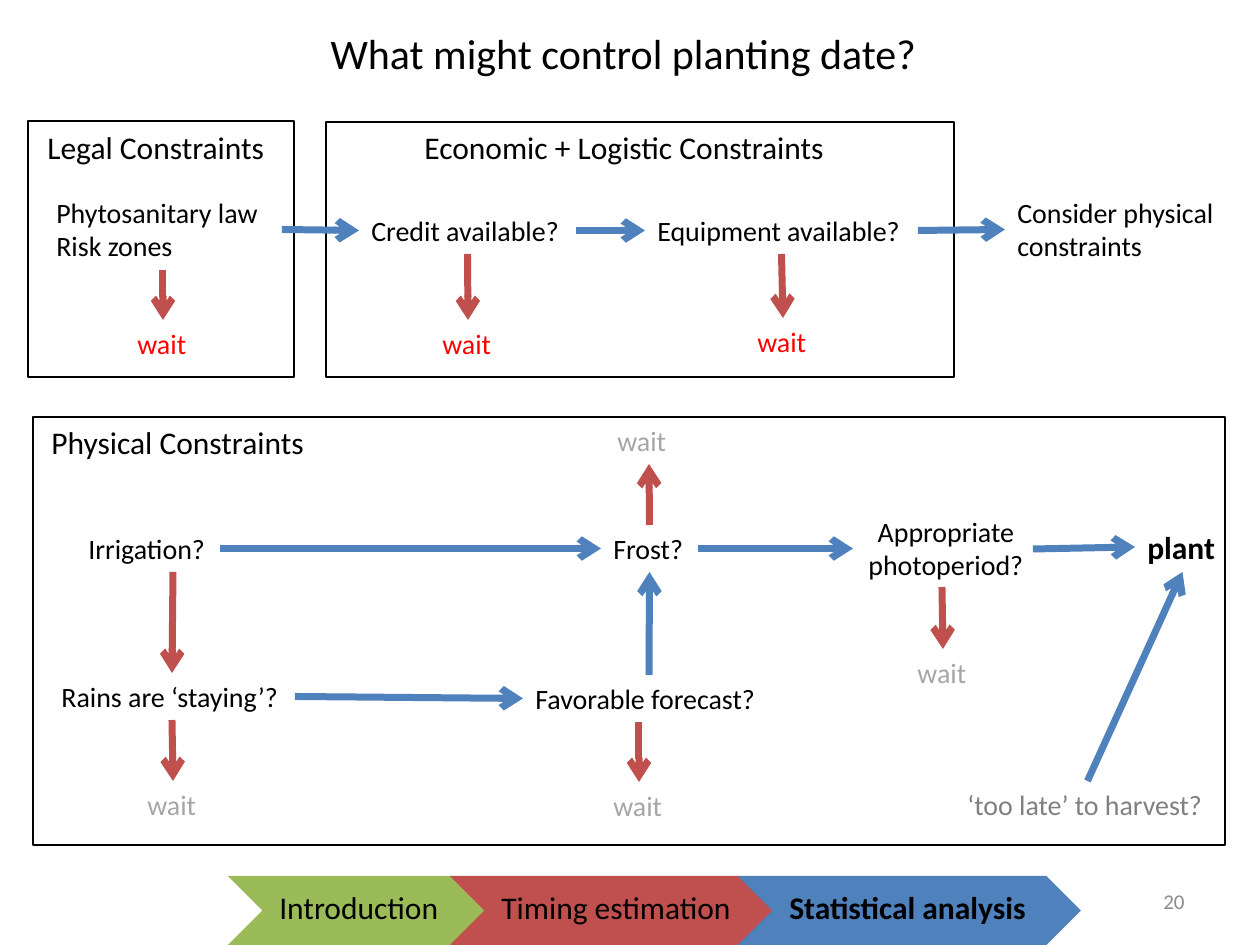
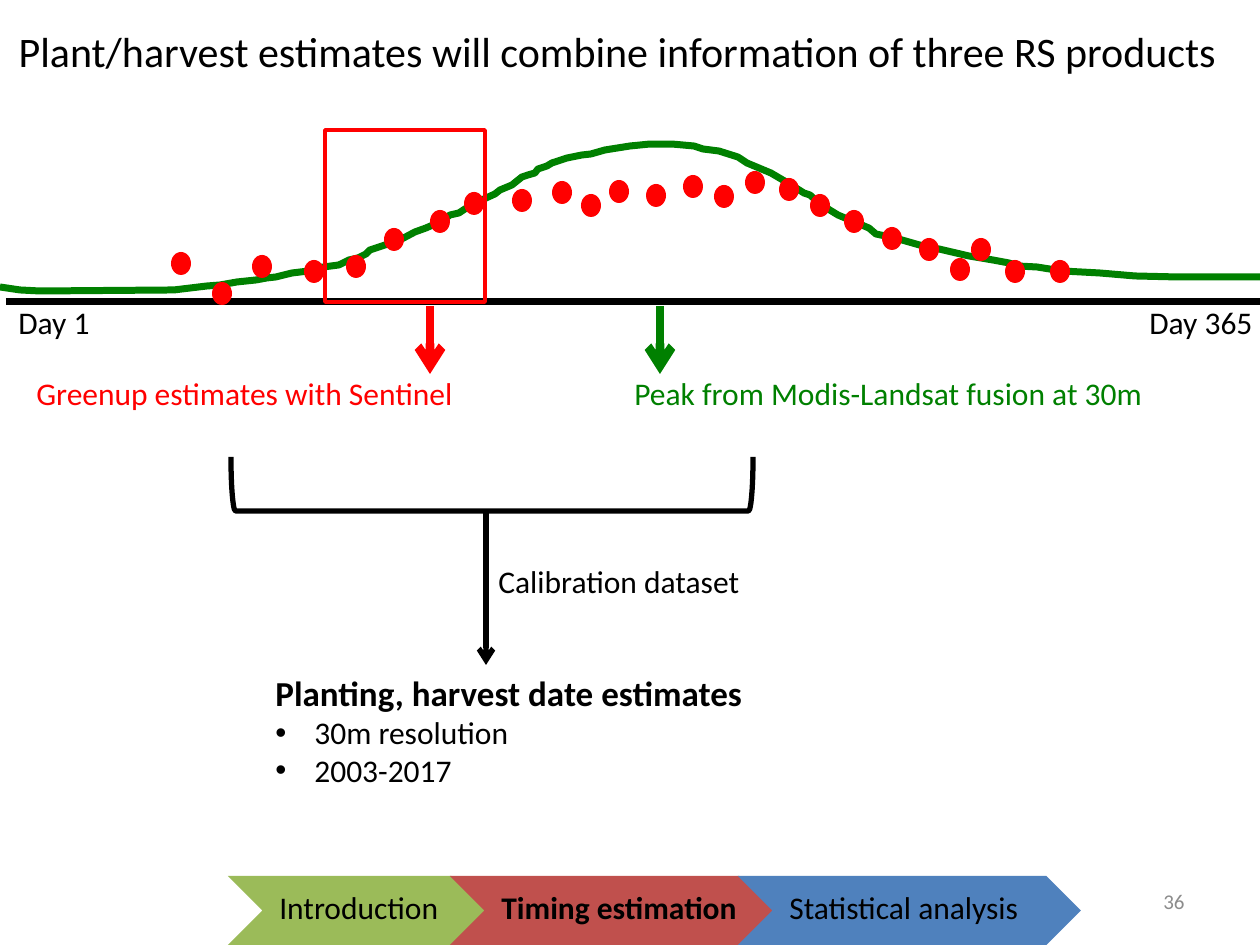
from dataclasses import dataclass
from typing import Any

from lxml.etree import SubElement
from pptx import Presentation
from pptx.dml.color import RGBColor
from pptx.enum.shapes import MSO_CONNECTOR as Link, MSO_SHAPE as Preset
from pptx.enum.text import MSO_ANCHOR as Anchor, MSO_AUTO_SIZE as Fit, PP_ALIGN as Align
from pptx.oxml.ns import qn
from pptx.util import Emu, Pt

FONT = "Calibri"
BLACK = RGBColor(0x00, 0x00, 0x00)
RED = RGBColor(0xFF, 0x00, 0x00)
GREEN = RGBColor(0x00, 0x80, 0x00)
LIGHT_GREY = RGBColor(0xA6, 0xA6, 0xA6)
MID_GREY = RGBColor(0x80, 0x80, 0x80)
NUMBER_GREY = RGBColor(0x8C, 0x8C, 0x8C)
LEAF = RGBColor(0x9B, 0xBB, 0x59)
BRICK = RGBColor(0xC0, 0x50, 0x4D)
BLUE = RGBColor(0x4F, 0x81, 0xBD)

EMU_PER_PX = 914400 / 126
TOP, LEFT, BOTTOM, RIGHT = range(4)
TITLE_ONLY = 5
LINE_HEIGHT = {12: 50, 16: 47, 18: 50, 20: 56, 24: 63}

# Section name, left, width of chevron, width of text, colour
SECTIONS = [
    ("Introduction", 0, 258, 190, LEAF),
    ("Timing estimation", 222, 324, 263, BRICK),
    ("Statistical analysis", 510, 343, 266, BLUE),
]

GREENNESS_CURVE = [
    (0, 167), (20, 170), (40, 171), (174, 170), (207, 166), (220, 165),
    (237, 162), (256, 160), (267, 158), (276, 157), (292, 153), (309, 151),
    (316, 148), (339, 145), (349, 140), (358, 138), (366, 134), (370, 130),
    (388, 124), (398, 121), (415, 112), (426, 108), (442, 101), (450, 95),
    (459, 93), (465, 89), (472, 85), (484, 79), (495, 74), (500, 70),
    (512, 65), (522, 57), (528, 55), (535, 53), (538, 49), (547, 46),
    (552, 43), (567, 38), (582, 35), (591, 34), (605, 30), (630, 26),
    (650, 24), (672, 24), (694, 26), (703, 29), (719, 31), (738, 37),
    (747, 43), (771, 53), (788, 63), (804, 73), (810, 75), (820, 84),
    (838, 95), (857, 103), (869, 108), (876, 114), (895, 118), (916, 124),
    (930, 128), (939, 129), (969, 136), (993, 140), (1009, 143), (1018, 146),
    (1037, 147), (1062, 151), (1100, 153), (1135, 156), (1177, 157), (1260, 157),
]
OBSERVATIONS = [
    (171, 132), (212, 162), (252, 135), (304, 140), (346, 135), (384, 108),
    (430, 90), (464, 72), (512, 69), (552, 61), (581, 74), (609, 60),
    (646, 64), (683, 55), (714, 65), (745, 51), (779, 58), (810, 74),
    (844, 90), (882, 107), (919, 118), (950, 138), (971, 118), (1005, 140),
    (1050, 140),
]


def px(length):
    return Emu(round(length * EMU_PER_PX))


def add_span(para, text, size, color, bold=False):
    span = para.add_run()
    span.text = text
    font = span.font
    font.name, font.size, font.bold = FONT, Pt(size), bold
    font.color.rgb = color


def set_frame(frame, wrap):
    frame.word_wrap = wrap
    frame.auto_size = Fit.SHAPE_TO_FIT_TEXT
    frame.vertical_anchor = Anchor.TOP


@dataclass
class Region:
    """A box on a page; its parts are placed from its top left corner."""
    page: Any
    left: int
    top: int
    width: int
    height: int

    def at(self, x, y):
        return px(self.left + x), px(self.top + y)

    def label(self, x, y, width, text, size=16, color=BLACK, bold=False,
              wrap=False, align=Align.LEFT, rows=1):
        height = LINE_HEIGHT[size] + (rows - 1) * 34
        box = self.page.shapes.add_textbox(*self.at(x, y), px(width), px(height))
        set_frame(box.text_frame, wrap)
        for index, line in enumerate(text.split("\n")):
            para = box.text_frame.add_paragraph() if index else box.text_frame.paragraphs[0]
            para.alignment = align
            add_span(para, line, size, color, bold)
        return box

    def wait(self, x, y, color=RED):
        return self.label(x, y, 76, "wait", color=color)

    def shape(self, preset, x, y, width, height, fill=None, line=None, weight=0.75):
        item = self.page.shapes.add_shape(preset, *self.at(x, y), px(width), px(height))
        return paint(item, fill, line, weight)

    def frame(self):
        return self.shape(Preset.RECTANGLE, 0, 0, self.width, self.height, line=BLACK)

    def line(self, start, end, color=BLUE, weight=4, arrow=True):
        """Each end is a point, or a (box, side) pair to join."""
        joined = [not isinstance(stop[0], int) for stop in (start, end)]
        points = [self.at(0, 0) if join else self.at(*stop)
                  for join, stop in zip(joined, (start, end))]
        link = self.page.shapes.add_connector(Link.STRAIGHT, *points[0], *points[1])
        if joined[0]:
            link.begin_connect(*start)
        if joined[1]:
            link.end_connect(*end)
        link.line.color.rgb = color
        link.line.width = Pt(weight)
        if arrow:
            SubElement(link.line._get_or_add_ln(), qn("a:tailEnd"), type="arrow")
        SubElement(link._element.spPr, qn("a:effectLst"))


def paint(item, fill, line, weight):
    item.shadow.inherit = False
    if fill is None:
        item.fill.background()
    else:
        item.fill.solid()
        item.fill.fore_color.rgb = fill
    if line is None:
        item.line.fill.background()
    else:
        item.line.color.rgb = line
        item.line.width = Pt(weight)
    return item


def start_page(deck, title, left, top, width, number, current):
    page = deck.slides.add_slide(deck.slide_layouts[TITLE_ONLY])
    heading = page.shapes.title
    heading.left, heading.top, heading.width, heading.height = map(px, (left, top, width, 63))
    set_frame(heading.text_frame, wrap=False)
    para = heading.text_frame.paragraphs[0]
    para.alignment = Align.LEFT
    add_span(para, title, 24, BLACK)
    add_footer(Region(page, 228, 876, 969, 69), number, current)
    return page


def add_footer(band, number, current):
    for name, left, width, text_width, color in SECTIONS:
        band.shape(Preset.CHEVRON, left, 0, width, band.height, fill=color)
        band.label(left + 39, 6, text_width, name, 18, bold=name == current)
    box = band.label(675, 0, 294, str(number), 12, NUMBER_GREY, wrap=True, align=Align.RIGHT)
    box.text_frame.auto_size = Fit.NONE
    box.text_frame.vertical_anchor = Anchor.MIDDLE


# Planting date slide
def add_legal(region):
    region.frame()
    region.label(7, 1, 251, "Legal Constraints", 18, wrap=True)
    law = region.label(16, 68, 238, "Phytosanitary law\nRisk zones", wrap=True, rows=2)
    region.line((law, BOTTOM), (region.wait(97, 199), TOP), BRICK)
    return law


def add_economic(region):
    region.frame()
    region.label(86, 0, 437, "Economic + Logistic Constraints", 18, wrap=True)
    credit = region.label(33, 85, 217, "Credit available?")
    equipment = region.label(319, 85, 273, "Equipment available?")
    region.line((credit, BOTTOM), (region.wait(104, 198), TOP), BRICK)
    region.line((equipment, BOTTOM), (region.wait(419, 196), TOP), BRICK)
    region.line((credit, RIGHT), (equipment, LEFT))
    return credit, equipment


def add_physical(region):
    region.frame()
    region.label(6, 0, 284, "Physical Constraints", 18)

    # Questions and outcomes
    irrigation = region.label(43, 108, 144, "Irrigation?")
    frost = region.label(568, 108, 97, "Frost?")
    photoperiod = region.label(820, 91, 186, "Appropriate photoperiod?",
                               wrap=True, align=Align.CENTER, rows=2)
    rains = region.label(16, 256, 246, "Rains are ‘staying’?")
    forecast = region.label(490, 258, 252, "Favorable forecast?")
    plant = region.label(1102, 105, 95, "plant", 18, bold=True)
    too_late = region.label(922, 364, 265, "‘too late’ to harvest?", color=MID_GREY)
    region.wait(572, 0, LIGHT_GREY)
    rains_wait, forecast_wait, photoperiod_wait = (
        region.wait(x, y, LIGHT_GREY) for x, y in [(102, 364), (568, 365), (872, 232)])

    # Ways forward
    for start, end in [
        ((irrigation, RIGHT), (frost, LEFT)),
        ((rains, RIGHT), (forecast, LEFT)),
        ((forecast, TOP), (frost, BOTTOM)),
        ((frost, RIGHT), (photoperiod, LEFT)),
        ((1000, 132), (plant, LEFT)),
        ((too_late, TOP), (plant, BOTTOM)),
    ]:
        region.line(start, end)

    # Ways down to the next check or to waiting
    for start, end in [
        ((140, 155), (rains, TOP)),
        ((rains, BOTTOM), (rains_wait, TOP)),
        ((606, 305), (forecast_wait, TOP)),
        ((frost, TOP), (616, 47)),
        ((909, 170), (photoperiod_wait, TOP)),
    ]:
        region.line(start, end, BRICK)


def add_planting_page(deck):
    page = start_page(deck, "What might control planting date?", 318, 21, 620,
                      20, "Statistical analysis")
    law = add_legal(Region(page, 28, 121, 266, 256))
    credit, equipment = add_economic(Region(page, 326, 122, 628, 255))
    outlook = Region(page, 1005, 189, 255, 81)
    consider = outlook.label(0, 0, outlook.width, "Consider physical constraints",
                             wrap=True, rows=2)
    outlook.line((law, RIGHT), (credit, LEFT))
    outlook.line((equipment, RIGHT), (consider, LEFT))
    add_physical(Region(page, 33, 417, 1192, 428))


# Product combination slide
def add_season(region):
    # Greenness curve over the day axis
    first, *others = [(region.left + x, region.top + y) for x, y in GREENNESS_CURVE]
    builder = region.page.shapes.build_freeform(*first, scale=EMU_PER_PX)
    builder.add_line_segments(others, close=False)
    paint(builder.convert_to_shape(), None, GREEN, 4)
    region.line((6, 182), (region.width, 182), BLACK, arrow=False)
    region.label(6, 177, 98, "Day 1", 18)
    region.label(1137, 177, 130, "Day 365", 18)

    # Observations and the greenup window
    for x, y in OBSERVATIONS:
        region.shape(Preset.OVAL, x, y, 20, 23, fill=RED)
    region.shape(Preset.RECTANGLE, 325, 10, 160, 172, line=RED, weight=2)

    # Estimates read from the season
    region.line((430, 186), (430, 254), RED, 5)
    region.line((660, 186), (660, 254), GREEN, 5)
    region.label(24, 248, 532, "Greenup estimates with Sentinel", 18, RED, wrap=True)
    region.label(622, 248, 541, "Peak from Modis-Landsat fusion at 30m", 18, GREEN)


def add_calibration(region):
    # Bracket turned to open upwards
    depth = 54
    bracket = region.shape(Preset.LEFT_BRACKET, (region.width - depth) / 2,
                           (depth - region.width) / 2, depth, region.width,
                           line=BLACK, weight=3)
    bracket.rotation = 270
    region.line((255, 55), (255, 208), BLACK, 3)
    region.label(255, 99, 271, "Calibration dataset", 18)

    # Result with its bullets
    result = region.label(32, 208, 498, "Planting, harvest date estimates", 20, bold=True)
    result.height = px(131)
    for text in ("30m resolution", "2003-2017"):
        para = result.text_frame.add_paragraph()
        props = para._p.get_or_add_pPr()
        props.set("marL", str(px(39)))
        props.set("indent", str(-px(39)))
        SubElement(props, qn("a:buFont"), typeface="Arial")
        SubElement(props, qn("a:buChar"), char="•")
        add_span(para, text, 18, BLACK)


def add_products_page(deck):
    page = start_page(
        deck, "Plant/harvest estimates will combine information of three RS products",
        6, 19, 1241, 36, "Timing estimation")
    add_season(Region(page, 0, 120, 1260, 300))
    add_calibration(Region(page, 231, 457, 522, 339))


def main():
    deck = Presentation()
    deck.slide_width, deck.slide_height = px(1260), px(945)
    add_planting_page(deck)
    add_products_page(deck)
    deck.save("out.pptx")


if __name__ == "__main__":
    main()
